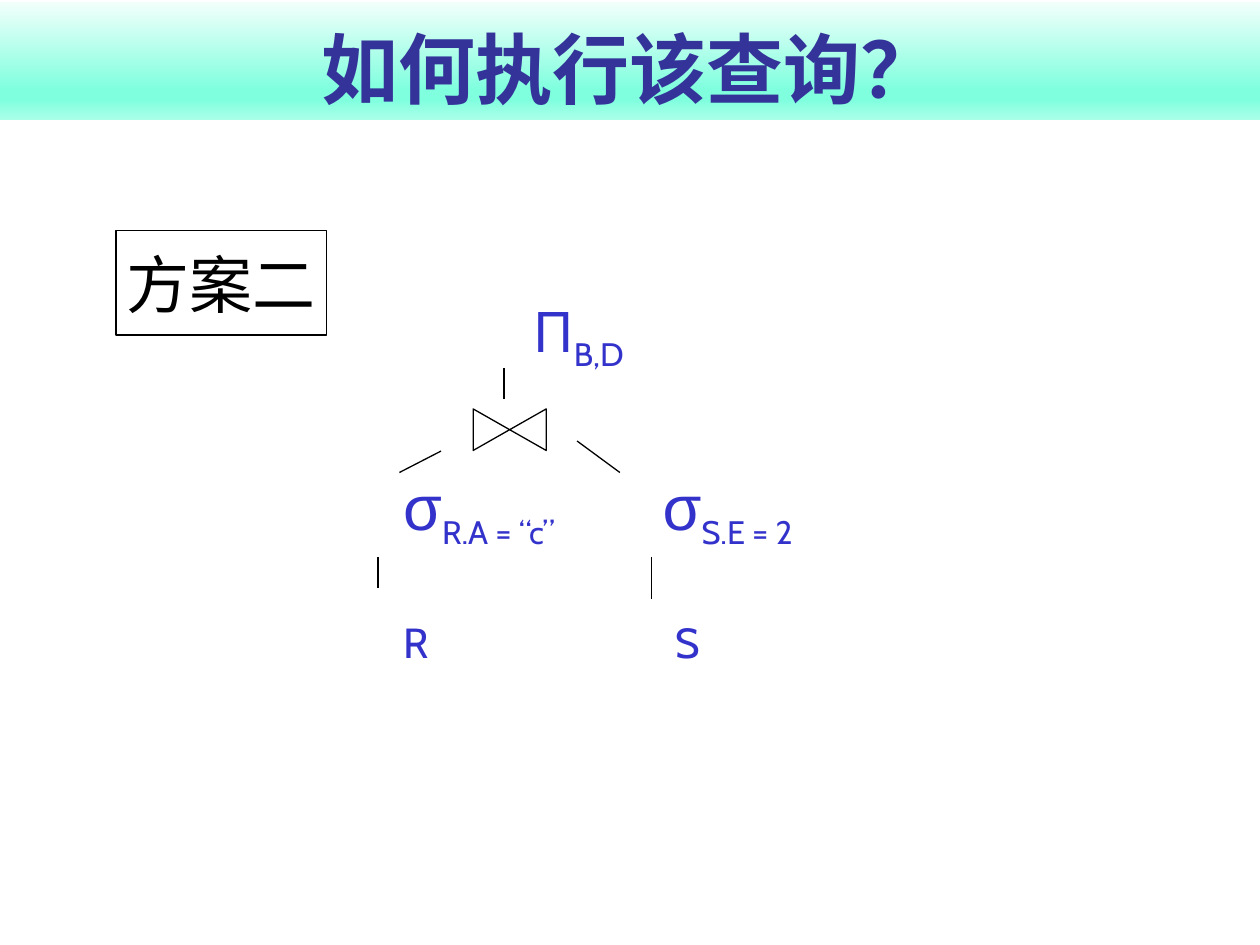
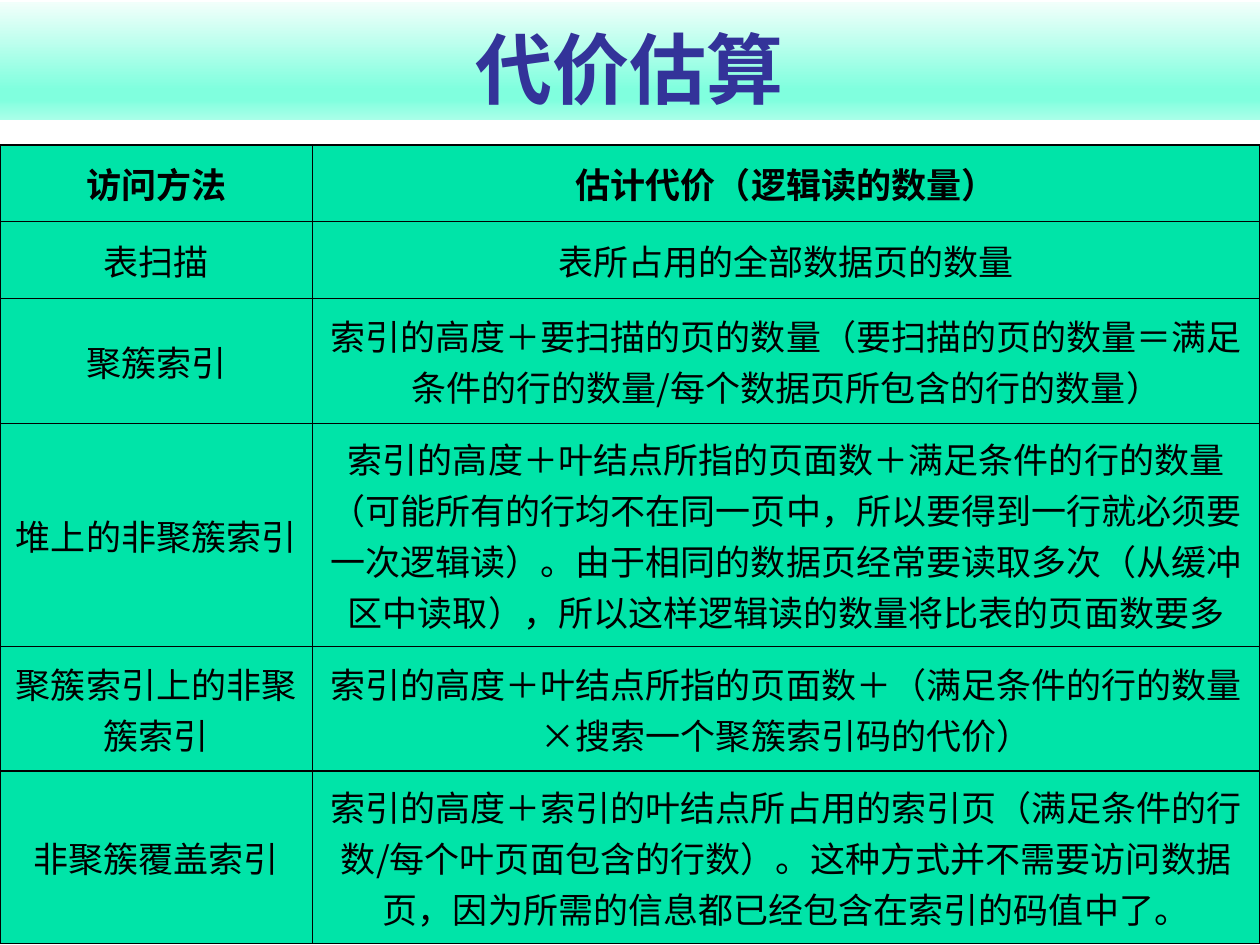
"""Builds two slides on query execution: a plan tree and a cost estimation table."""
from lxml import etree
from pptx import Presentation
from pptx.dml.color import RGBColor
from pptx.enum.shapes import MSO_CONNECTOR, MSO_SHAPE
from pptx.enum.text import MSO_ANCHOR, PP_ALIGN
from pptx.oxml.ns import qn
from pptx.util import Inches, Pt

CENTER, LEFT = PP_ALIGN.CENTER, PP_ALIGN.LEFT
MIDDLE, BOTTOM = MSO_ANCHOR.MIDDLE, MSO_ANCHOR.BOTTOM
RECTANGLE, COLLATE = MSO_SHAPE.RECTANGLE, MSO_SHAPE.FLOWCHART_COLLATE
STRAIGHT = MSO_CONNECTOR.STRAIGHT

BLACK = RGBColor.from_string("000000")
THEME = {
    "line": BLACK,
    "paper": RGBColor.from_string("FFFFFF"),
    "cell": RGBColor.from_string("00E4A8"),
    "band": [(0, "F1FFFB"), (74, "80FFDE"), (83, "80FFDE"), (100, "AAFFE9")],
    "east_asian": "Noto Sans CJK JP",
    "title": {"name": "Cabin", "size": Pt(44), "bold": True, "color": RGBColor.from_string("333399")},
    "plan": {"name": "Times New Roman", "size": Pt(36), "color": BLACK},
    "operator": {"name": "Cabin", "size": Pt(32), "color": RGBColor.from_string("3333CC")},
    "sigma": {"name": "Arial", "size": Pt(36), "color": RGBColor.from_string("3333CC")},
    "relation": {"name": "Cabin", "size": Pt(24), "color": RGBColor.from_string("3333CC")},
    "header": {"name": "Noto Sans CJK JP", "size": Pt(20), "bold": True, "color": BLACK},
    "body": {"name": "Noto Sans CJK JP", "size": Pt(20), "bold": False, "color": BLACK},
}


def write(tf, runs, align, anchor):
    tf.vertical_anchor = anchor
    p = tf.paragraphs[0]
    p.alignment = align
    for text, style, baseline in runs:
        r = p.add_run()
        r.text = text
        for key, value in THEME[style].items():
            if key == "color":
                r.font.color.rgb = value
            else:
                setattr(r.font, key, value)
        rPr = r._r.get_or_add_rPr()
        etree.SubElement(rPr, qn("a:ea"), typeface=THEME["east_asian"])
        if baseline:
            rPr.set("baseline", str(baseline * 1000))


def add_box(s, kind, box):
    sp = s.shapes.add_shape(kind, *[Inches(v) for v in box])
    sp.shadow.inherit = False
    sp.fill.solid()
    sp.fill.fore_color.rgb = THEME["paper"]
    sp.line.color.rgb = THEME["line"]
    sp.line.width = Pt(0.75)
    return sp


prs = Presentation()
prs.slide_width, prs.slide_height = Inches(10), Inches(7.5)

slides = []
for title in ["如何执行该查询？", "代价估算"]:
    s = prs.slides.add_slide(prs.slide_layouts[6])
    sp = add_box(s, RECTANGLE, (0, 0.02, 10, 0.93))
    sp.line.fill.background()
    sp.fill.gradient()
    sp.fill.gradient_angle = 270
    stops = sp._element.spPr.find(".//" + qn("a:gsLst"))
    for stop in list(stops):
        stops.remove(stop)
    for position, color in THEME["band"]:
        stop = etree.SubElement(stops, qn("a:gs"), pos=str(position * 1000))
        etree.SubElement(stop, qn("a:srgbClr"), val=color)
    sp.text_frame.word_wrap = True
    write(sp.text_frame, [(title, "title", 0)], CENTER, BOTTOM)
    slides.append(s)
tree_slide, cost_slide = slides

labels = [
    (4.23, 2.35, 1.2, 0.6, [("Π", "operator", 0), ("B,D", "operator", -25)]),
    (3.2, 3.71, 1.8, 0.65, [("σ", "sigma", 0), ("R.A = “c”", "operator", -25)]),
    (5.26, 3.71, 1.8, 0.65, [("σ", "sigma", 0), ("S.E = 2", "operator", -25)]),
    (3.2, 4.89, 0.5, 0.42, [("R", "relation", 0)]),
    (5.36, 4.89, 0.5, 0.42, [("S", "relation", 0)]),
]
for *box, runs in labels:
    tf = tree_slide.shapes.add_textbox(*[Inches(v) for v in box]).text_frame
    tf.word_wrap = True
    for side in ("left", "top", "right", "bottom"):
        setattr(tf, "margin_" + side, 0)
    write(tf, runs, LEFT, MSO_ANCHOR.TOP)

plan = add_box(tree_slide, RECTANGLE, (0.92, 1.83, 1.67, 0.83))
plan.text_frame.word_wrap = False
write(plan.text_frame, [("方案二", "plan", 0)], CENTER, MIDDLE)

join = add_box(tree_slide, COLLATE, (3.88, 3.12, 0.33, 0.58))
join.rotation = 270

branches = [
    (4, 2.92, 4, 3.17),
    (3.5, 3.58, 3.17, 3.75),
    (4.58, 3.5, 4.92, 3.75),
    (3, 4.42, 3, 4.67),
    (5.17, 4.42, 5.17, 4.75),
]
for ends in branches:
    branch = tree_slide.shapes.add_connector(STRAIGHT, *[Inches(v) for v in ends])
    branch.line.color.rgb = THEME["line"]
    branch.line.width = Pt(0.75)
    etree.SubElement(branch._element.spPr, qn("a:effectLst"))

costs = [
    ("访问方法", "估计代价（逻辑读的数量）"),
    ("表扫描", "表所占用的全部数据页的数量"),
    ("聚簇索引", "索引的高度＋要扫描的页的数量（要扫描的页的数量＝满足条件的行的数量/每个数据页所包含的行的数量）"),
    ("堆上的非聚簇索引", "索引的高度＋叶结点所指的页面数＋满足条件的行的数量（可能所有的行均不在同一页中，"
     "所以要得到一行就必须要一次逻辑读）。由于相同的数据页经常要读取多次（从缓冲区中读取），"
     "所以这样逻辑读的数量将比表的页面数要多"),
    ("聚簇索引上的非聚簇索引", "索引的高度＋叶结点所指的页面数＋（满足条件的行的数量×搜索一个聚簇索引码的代价）"),
    ("非聚簇覆盖索引", "索引的高度＋索引的叶结点所占用的索引页（满足条件的行数/每个叶页面包含的行数）。"
     "这种方式并不需要访问数据页，因为所需的信息都已经包含在索引的码值中了。"),
]
table = cost_slide.shapes.add_table(
    len(costs), 2, Inches(0), Inches(1.15), Inches(10), Inches(6.35)).table
for column, width in zip(table.columns, [2.48, 7.52]):
    column.width = Inches(width)
for row, height in zip(table.rows, [0.61, 0.61, 0.99, 1.77, 0.99, 1.37]):
    row.height = Inches(height)
for i, texts in enumerate(costs):
    for j, text in enumerate(texts):
        cell = table.cell(i, j)
        tcPr = cell._tc.get_or_add_tcPr()
        for side in ("lnL", "lnR", "lnT", "lnB"):
            ln = etree.SubElement(tcPr, qn("a:" + side), w=str(Pt(1)))
            fill = etree.SubElement(ln, qn("a:solidFill"))
            etree.SubElement(fill, qn("a:srgbClr"), val=str(THEME["line"]))
        cell.fill.solid()
        cell.fill.fore_color.rgb = THEME["cell"]
        write(cell.text_frame, [(text, "body" if i else "header", 0)], CENTER, MIDDLE)
        cell.vertical_anchor = MIDDLE

prs.save("out.pptx")
